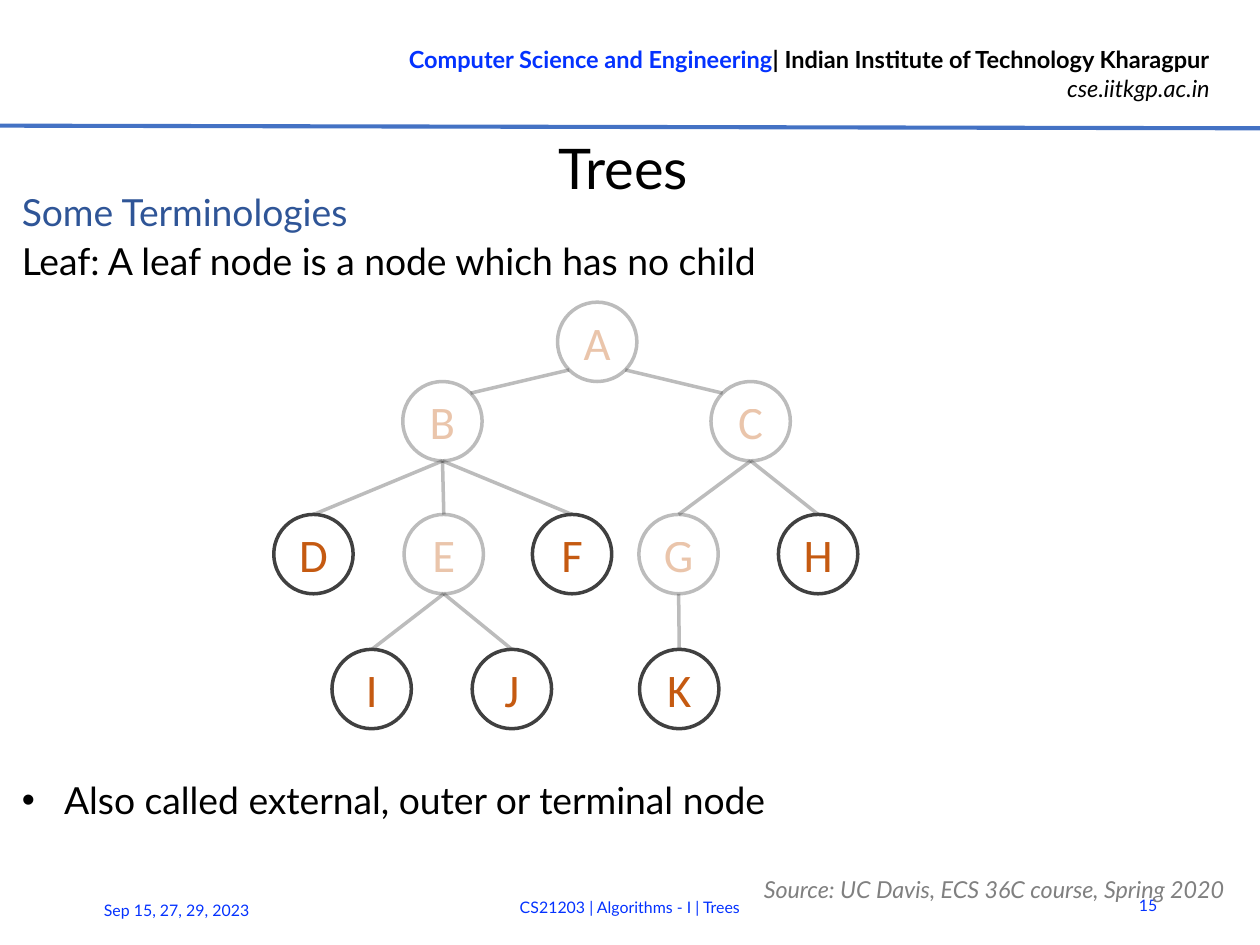
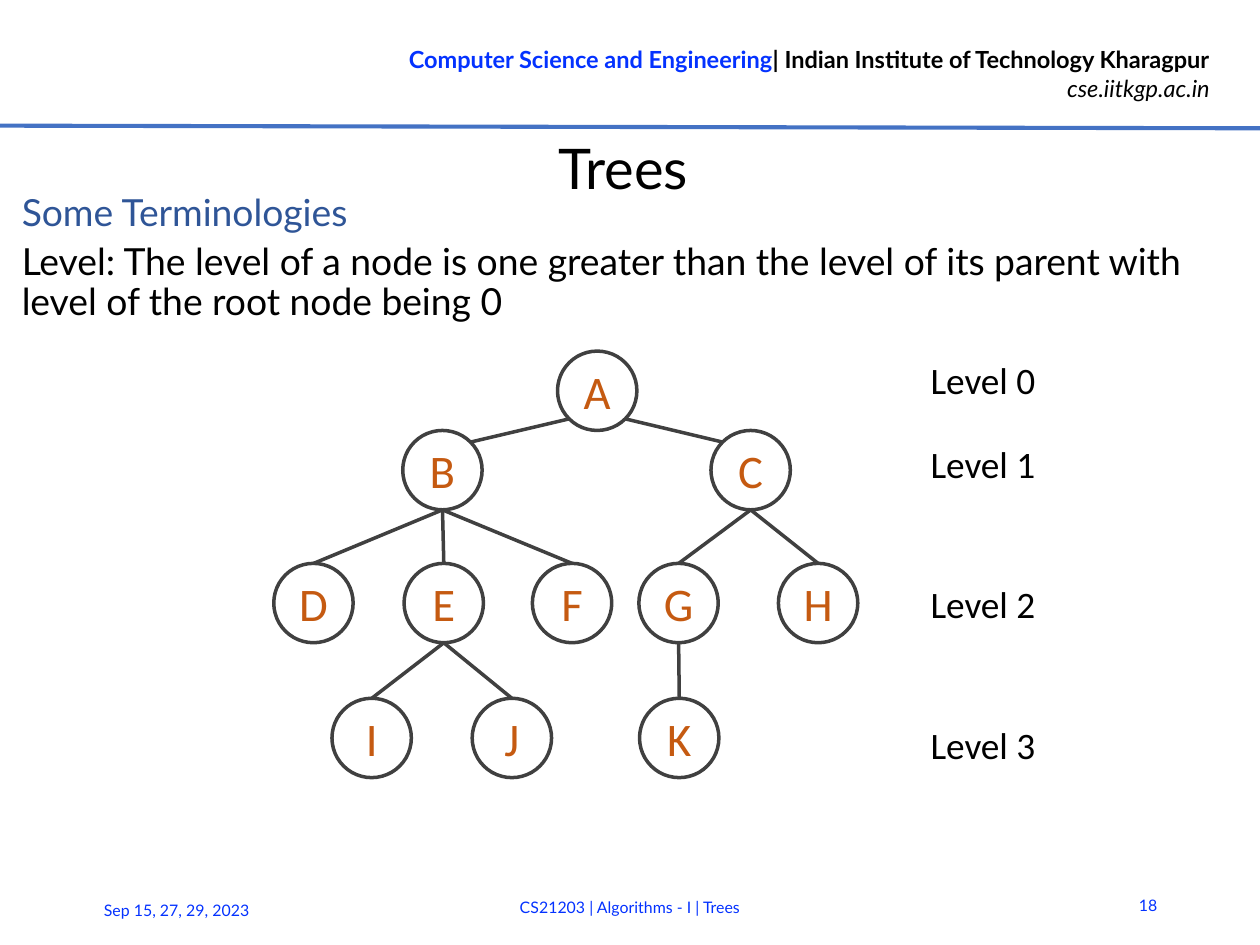
import math

import pptx
import pptx.dml.color
import pptx.enum.shapes
import pptx.enum.text
import pptx.oxml
import pptx.oxml.ns
import pptx.util
from lxml import etree

Cm, Pt = pptx.util.Cm, pptx.util.Pt
RGBColor = pptx.dml.color.RGBColor
ALIGN = pptx.enum.text.PP_ALIGN
MIDDLE = pptx.enum.text.MSO_ANCHOR.MIDDLE
qn = pptx.oxml.ns.qn

# Colours
BLACK = RGBColor(0x00, 0x00, 0x00)
BRIGHT_BLUE = RGBColor(0x04, 0x32, 0xFF)
RULE_BLUE = RGBColor(0x44, 0x72, 0xC4)
HEADING_BLUE = RGBColor(0x2F, 0x55, 0x97)
SOURCE_GREY = RGBColor(0x80, 0x80, 0x80)
OUTLINE = RGBColor(0x40, 0x40, 0x40)
ORANGE = RGBColor(0xC5, 0x5A, 0x11)

# Text styles: the colour, then the font attributes
HEADER = (BLACK, {"name": "Lato", "size": Pt(10.1), "bold": True})
HEADER_BLUE = (BRIGHT_BLUE, HEADER[1])
HEADER_LINK = (BLACK, {"name": "Lato", "size": Pt(10.1), "italic": True})
TITLE = (BLACK, {"name": "Lato", "size": Pt(24)})
HEADING = (HEADING_BLUE, {"name": "Lato", "size": Pt(16)})
BODY = (BLACK, HEADING[1])
FOOTER = (BRIGHT_BLUE, {"name": "Lato", "size": Pt(6.8)})
SOURCE = (SOURCE_GREY, {"name": "Lato", "size": Pt(10), "italic": True})
LETTER = (ORANGE, {"name": "Calibri", "size": Pt(20)})
LEVEL = (BLACK, {"name": "Calibri", "size": Pt(16)})

# Paragraph and frame formats
RIGHT = {"alignment": ALIGN.RIGHT}
CENTRE = {"alignment": ALIGN.CENTER}
FIRST_LINE = {"line_spacing": Pt(17), "space_after": Pt(2)}
NEXT_LINE = {"space_before": Pt(2), **FIRST_LINE}
MIDDLE_FRAME = {"vertical_anchor": MIDDLE}
TIGHT_FRAME = {"vertical_anchor": MIDDLE, "margin_left": 0, "margin_right": 0,
               "margin_top": 0, "margin_bottom": 0}

# Tree: centre of each node across, by row, and the children of each parent
ROWS = [
    (0, {"A": 9.03}),
    (1.2, {"B": 6.69, "C": 11.35}),
    (3.21, {"D": 4.74, "E": 6.71, "F": 8.65, "G": 10.26, "H": 12.37}),
    (5.25, {"I": 5.62, "J": 7.74, "K": 10.27}),
]
CHILDREN = {"A": "BC", "B": "DEF", "C": "GH", "E": "IJ", "G": "K"}
RADIUS = 0.6
DIAGONAL = RADIUS * math.sqrt(0.5)

SLIDES = [
    {"number": "15", "root": 5.17, "body_height": 2.06, "leaves_only": True,
     "definition": "Leaf: A leaf node is a node which has no child",
     "bullet": "Also called external, outer or terminal node",
     "source": "Source: UC Davis, ECS 36C course, Spring 2020",
     "levels": []},
    {"number": "18", "root": 5.91, "body_height": 2.06, "leaves_only": False,
     "definition": "Level: The level of a node is one greater than the level of "
                   "its parent with level of the root node being 0",
     "bullet": None, "source": None,
     "levels": [5.28, 6.55, 8.66, 10.8]},
]


def write(shape, paragraphs, frame_format):
    """Fill a shape with paragraphs of (format, [(text, style), ...])."""
    frame = shape.text_frame
    for key, value in {"word_wrap": True, **frame_format}.items():
        setattr(frame, key, value)
    for index, (para_format, spans) in enumerate(paragraphs):
        para = frame.add_paragraph() if index else frame.paragraphs[0]
        for key, value in para_format.items():
            setattr(para, key, value)
        for text, (colour, font_format) in spans:
            span = para.add_run()
            span.text = text
            span.font.color.rgb = colour
            for key, value in font_format.items():
                setattr(span.font, key, value)
    return frame


def add_line(page, start, end, colour, width):
    line = page.shapes.add_connector(
        pptx.enum.shapes.MSO_CONNECTOR.STRAIGHT, *map(Cm, start + end))
    line.line.color.rgb = colour
    line.line.width = Pt(width)
    etree.SubElement(line.element.spPr, qn("a:effectLst"))
    return line


deck = pptx.Presentation()
deck.slide_width, deck.slide_height = Cm(19.05), Cm(14.29)

for content in SLIDES:
    page = deck.slides.add_slide(deck.slide_layouts[6])

    # Header rule
    add_line(page, (0, 1.9), (19.05, 1.94), RULE_BLUE, 1.75)

    # Text boxes: place, paragraphs, frame format
    boxes = [
        ((4.85, 0.56, 13.69, 1.12),
         [(RIGHT, [("Computer Science and Engineering", HEADER_BLUE),
                   ("| Indian Institute of Technology Kharagpur", HEADER)]),
          (RIGHT, [("cse.iitkgp.ac.in", HEADER_LINK)])], {}),
        ((0.08, 2.82, 18.72, content["body_height"]),
         [(FIRST_LINE, [("Some Terminologies", HEADING)]),
          (NEXT_LINE, [(content["definition"], BODY)])], {}),
        ((0.61, 2.01, 17.63, 1.04), [(CENTRE, [("Trees", TITLE)])], TIGHT_FRAME),
        ((1.32, 13.39, 3.33, 0.76),
         [({}, [("Sep 15, 27, 29, 2023", FOOTER)])], MIDDLE_FRAME),
        ((3.15, 13.34, 12.75, 0.76),
         [(CENTRE, [("CS21203 | Algorithms - I | Trees", FOOTER)])], MIDDLE_FRAME),
        ((16.81, 13.31, 0.94, 0.76),
         [(RIGHT, [(content["number"], FOOTER)])], MIDDLE_FRAME),
    ]
    if content["source"]:
        boxes.append(((11.3, 13.13, 7.67, 0.43),
                      [({"line_spacing": Pt(18)}, [(content["source"], SOURCE)])],
                      MIDDLE_FRAME))
    for level, top in enumerate(content["levels"]):
        boxes.append(((13.82, top, 2.13, 1.04),
                      [({}, [(f"Level {level}", LEVEL)])], {"word_wrap": False}))
    for place, paragraphs, frame_format in boxes:
        box = page.shapes.add_textbox(*map(Cm, place))
        write(box, paragraphs, frame_format)

    # Bullet below the tree
    if content["bullet"]:
        box = page.shapes.add_textbox(Cm(0.08), Cm(11.71), Cm(18.72), Cm(0.94))
        frame = write(box, [(FIRST_LINE, [(content["bullet"], BODY)])], {})
        properties = frame.paragraphs[0]._p.get_or_add_pPr()
        properties.set("marL", str(Cm(0.64)))
        properties.set("indent", str(-Cm(0.64)))
        etree.SubElement(properties, qn("a:buFont"), typeface="Arial")
        etree.SubElement(properties, qn("a:buChar"), char="•")

    # Tree nodes
    nodes, centres, faded = {}, {}, []
    for offset, row in ROWS:
        for name, x in row.items():
            y = content["root"] + offset
            node = page.shapes.add_shape(
                pptx.enum.shapes.MSO_SHAPE.OVAL,
                Cm(x - RADIUS), Cm(y - RADIUS), Cm(2 * RADIUS), Cm(2 * RADIUS))
            node.shadow.inherit = False
            node.fill.background()
            node.line.color.rgb = OUTLINE
            node.line.width = Pt(1.5)
            write(node, [(CENTRE, [(name, LETTER)])],
                  {**TIGHT_FRAME, "word_wrap": False})
            nodes[name], centres[name] = node, (x, y)
            if name in CHILDREN:
                faded.append(node)

    # Tree edges: the root's leave on the diagonal, the others run bottom to top
    for parent, children in CHILDREN.items():
        x, y = centres[parent]
        for child in children:
            child_x, child_y = centres[child]
            if parent == "A":
                step = math.copysign(DIAGONAL, child_x - x)
                edge = add_line(page, (x + step, y + DIAGONAL),
                                (child_x - step, child_y - DIAGONAL), OUTLINE, 1.5)
            else:
                edge = add_line(page, (x, y + RADIUS),
                                (child_x, child_y - RADIUS), OUTLINE, 1.5)
                edge.end_connect(nodes[child], 0)
            faded.append(edge)

    # Everything but the leaves is faded
    if content["leaves_only"]:
        for shape in faded:
            for colour in shape.element.iter(qn("a:srgbClr")):
                etree.SubElement(colour, qn("a:alpha"), val="34000")

deck.save("out.pptx")
